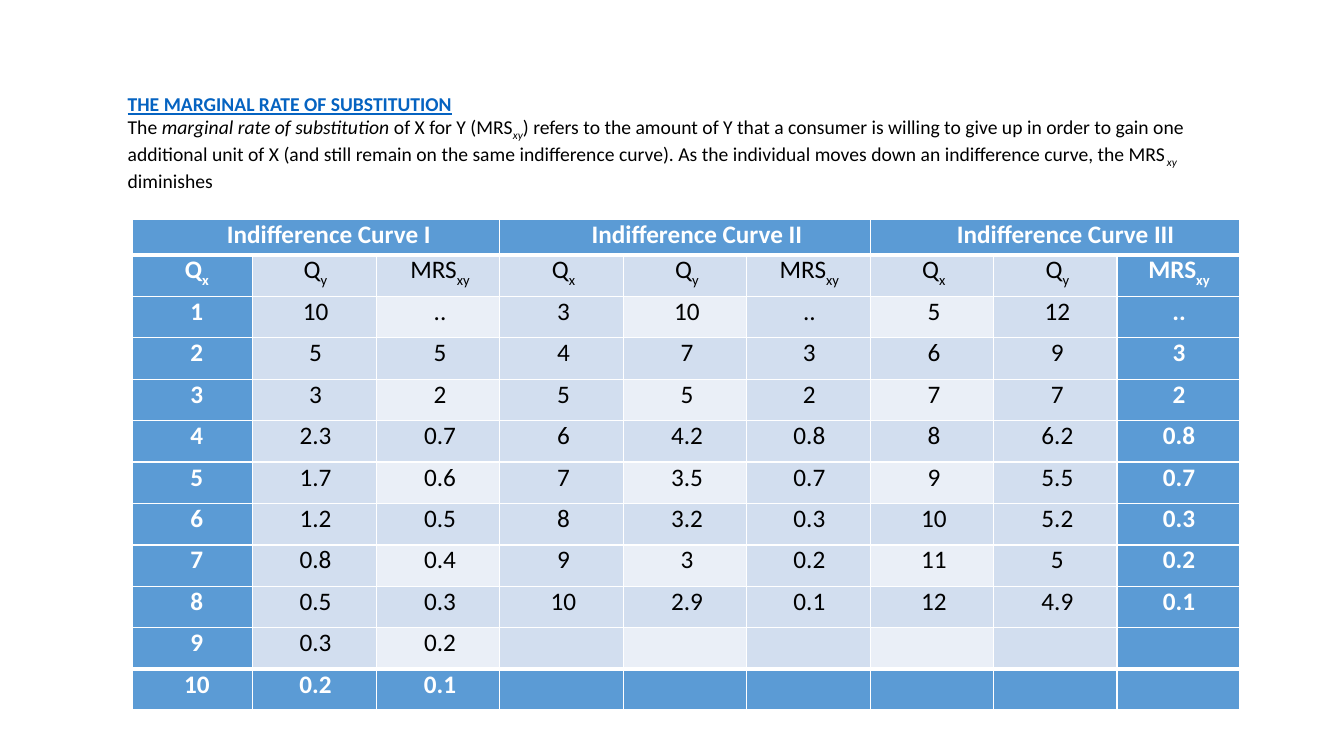
from dataclasses import dataclass

from lxml import etree
from pptx import Presentation
from pptx.dml.color import RGBColor
from pptx.enum import text as text_enum
from pptx.oxml import ns
from pptx.util import Pt

FONT = "Calibri"
WHITE, BLACK, LINK = "FFFFFF", "000000", "0563C1"
ACCENT, BAND, LIGHT = "5B9BD5", "D2DEEF", "EAEFF7"
SUBSCRIPT = "-25000"


@dataclass(frozen=True)
class Span:
    text: str
    bold: bool = False
    italic: bool = False
    underline: bool = False
    subscript: bool = False
    color: str = BLACK


@dataclass(frozen=True)
class Column:
    label: str
    subscript: str
    width: float
    indent: float
    values: tuple[str, ...]


@dataclass(frozen=True)
class Curve:
    number: str
    indent: float


TITLE = Span("THE MARGINAL RATE OF SUBSTITUTION", bold=True, underline=True, color=LINK)
DEFINITION = [
    Span("The "),
    Span("marginal rate of substitution ", italic=True),
    Span("of X for Y (MRS"),
    Span("xy", italic=True, subscript=True),
    Span(") refers to the amount of Y that a consumer is willing to give up in order "
         "to gain one additional unit of X (and still remain on the same indifference "
         "curve). As the individual moves down an indifference curve, the MRS"),
    Span("xy ", italic=True, subscript=True),
    Span("diminishes"),
]

CURVES = [Curve("I", 18), Curve("II", 17.3), Curve("III", 15.8)]
COLUMNS = [
    Column("Q", "x", 85.7, 5.6, ("1", "2", "3", "4", "5", "6", "7", "8", "9", "10")),
    Column("Q", "y", 88.2, 1.4,
           ("10", "5", "3", "2.3", "1.7", "1.2", "0.8", "0.5", "0.3", "0.2")),
    Column("MRS", "xy", 88.2, 2.9,
           ("..", "5", "2", "0.7", "0.6", "0.5", "0.4", "0.3", "0.2", "0.1")),
    Column("Q", "x", 88.2, 2.9, ("3", "4", "5", "6", "7", "8", "9", "10")),
    Column("Q", "y", 88.2, 2.9, ("10", "7", "5", "4.2", "3.5", "3.2", "3", "2.9")),
    Column("MRS", "xy", 88.2, 1.4, ("..", "3", "2", "0.8", "0.7", "0.3", "0.2", "0.1")),
    Column("Q", "x", 88.2, 2.9, ("5", "6", "7", "8", "9", "10", "11", "12")),
    Column("Q", "y", 88.2, 2.9, ("12", "9", "7", "6.2", "5.5", "5.2", "5", "4.9")),
    Column("MRS", "xy", 87.2, 1.4, ("..", "3", "2", "0.8", "0.7", "0.3", "0.2", "0.1")),
]
ROW_HEIGHTS = [25.2] + [29.6] * 10 + [28.8]
LAST_ROW, LAST_COLUMN = len(ROW_HEIGHTS) - 1, len(COLUMNS) - 1
COLUMNS_PER_CURVE = len(COLUMNS) // len(CURVES)


def rgb(value: str) -> RGBColor:
    return RGBColor.from_string(value)


def add_span(para, span: Span, size: float) -> None:
    run = para.add_run()
    run.text = span.text
    font = run.font
    font.name, font.size = FONT, Pt(size)
    font.bold, font.italic, font.underline = span.bold, span.italic, span.underline
    font.color.rgb = rgb(span.color)
    if span.subscript:
        font._element.set("baseline", SUBSCRIPT)


def indent_para(para, indent: float) -> None:
    properties = para._p.get_or_add_pPr()
    properties.set("marL", str(Pt(indent)))
    properties.set("indent", "0")


def add_title(page) -> None:
    box = page.shapes.title
    box.left, box.top, box.width, box.height = Pt(66), Pt(62), Pt(828), Pt(94.3)
    frame = box.text_frame
    frame.word_wrap = True
    frame.auto_size = text_enum.MSO_AUTO_SIZE.NONE
    frame.vertical_anchor = text_enum.MSO_ANCHOR.TOP
    para = frame.paragraphs[0]
    para.alignment = text_enum.PP_ALIGN.LEFT
    indent_para(para, 18)
    add_span(para, TITLE, 14)
    para.add_line_break()
    for span in DEFINITION:
        add_span(para, span, 14)


def set_borders(cell, top: float, bottom: float) -> None:
    properties = cell._tc.get_or_add_tcPr()
    sides = [("a:lnL", 1), ("a:lnR", 1), ("a:lnT", top), ("a:lnB", bottom)]
    for position, (tag, width) in enumerate(sides):
        line = etree.Element(ns.qn(tag), w=str(Pt(width)))
        fill = etree.SubElement(line, ns.qn("a:solidFill"))
        etree.SubElement(fill, ns.qn("a:srgbClr"), val=WHITE)
        properties.insert(position, line)


def is_accent(row: int, column: int) -> bool:
    return row in (0, LAST_ROW) or column in (0, LAST_COLUMN)


def cell_fill(row: int, column: int) -> str:
    if is_accent(row, column):
        return ACCENT
    return LIGHT if row > 1 and row % 2 == 0 and column % 2 == 0 else BAND


def format_cell(cell, row: int, column: int) -> None:
    cell.margin_left = cell.margin_right = cell.margin_top = cell.margin_bottom = 0
    cell.vertical_anchor = text_enum.MSO_ANCHOR.TOP
    cell.fill.solid()
    cell.fill.fore_color.rgb = rgb(cell_fill(row, column))
    set_borders(cell, top=3 if row in (1, LAST_ROW) else 1,
                bottom=3 if row in (0, LAST_ROW - 1) else 1)


def write_cell(cell, spans: list[Span], indent: float) -> None:
    para = cell.text_frame.paragraphs[0]
    para.alignment = text_enum.PP_ALIGN.CENTER
    para.space_before = Pt(2.5)
    indent_para(para, indent)
    for span in spans:
        add_span(para, span, 18)


def body_spans(row: int, index: int, column: Column) -> list[Span]:
    accent = is_accent(row, index)
    color = WHITE if accent else BLACK
    if row == 1:
        return [Span(column.label, bold=accent, color=color),
                Span(column.subscript, bold=accent, subscript=True, color=color)]
    values = column.values[row - 2:row - 1]
    return [Span(value, bold=accent, color=color) for value in values]


def add_curve_table(page) -> None:
    frame = page.shapes.add_table(
        len(ROW_HEIGHTS), len(COLUMNS), Pt(94.9), Pt(156.9),
        Pt(sum(column.width for column in COLUMNS)), Pt(sum(ROW_HEIGHTS)))
    table = frame.table
    table.horz_banding = False
    for index, column in enumerate(COLUMNS):
        table.columns[index].width = Pt(column.width)
    for row, height in enumerate(ROW_HEIGHTS):
        table.rows[row].height = Pt(height)
        for index, column in enumerate(COLUMNS):
            cell = table.cell(row, index)
            format_cell(cell, row, index)
            if row > 0:
                write_cell(cell, body_spans(row, index, column), column.indent)
    for position, curve in enumerate(CURVES):
        first = position * COLUMNS_PER_CURVE
        heading = table.cell(0, first)
        heading.merge(table.cell(0, first + COLUMNS_PER_CURVE - 1))
        label = Span(f"Indifference Curve {curve.number}", bold=True, color=WHITE)
        write_cell(heading, [label], curve.indent)


def main() -> None:
    deck = Presentation()
    deck.slide_width, deck.slide_height = Pt(960), Pt(540)
    page = deck.slides.add_slide(deck.slide_layouts.get_by_name("Title Only"))
    add_title(page)
    add_curve_table(page)
    deck.save("out.pptx")


if __name__ == "__main__":
    main()
